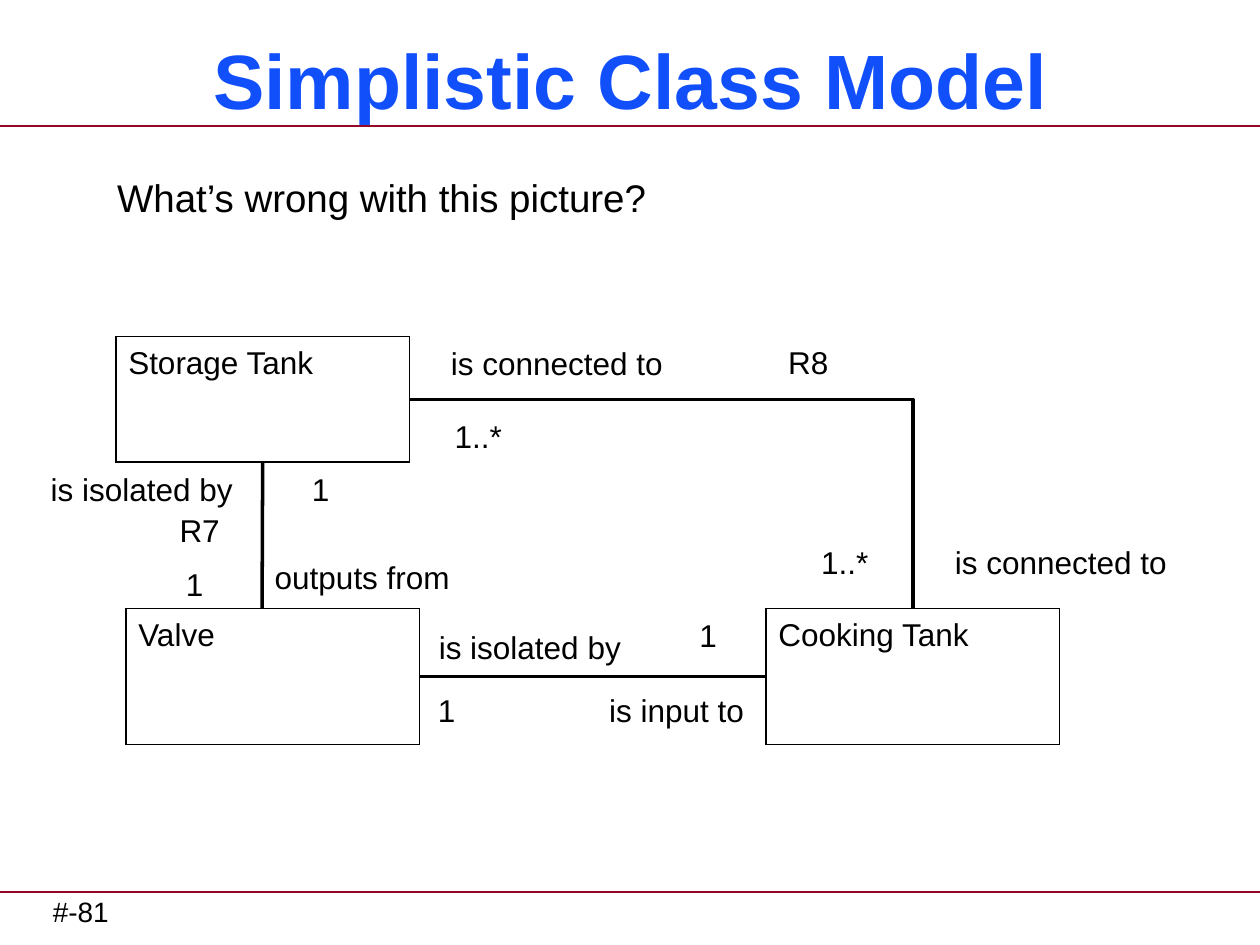
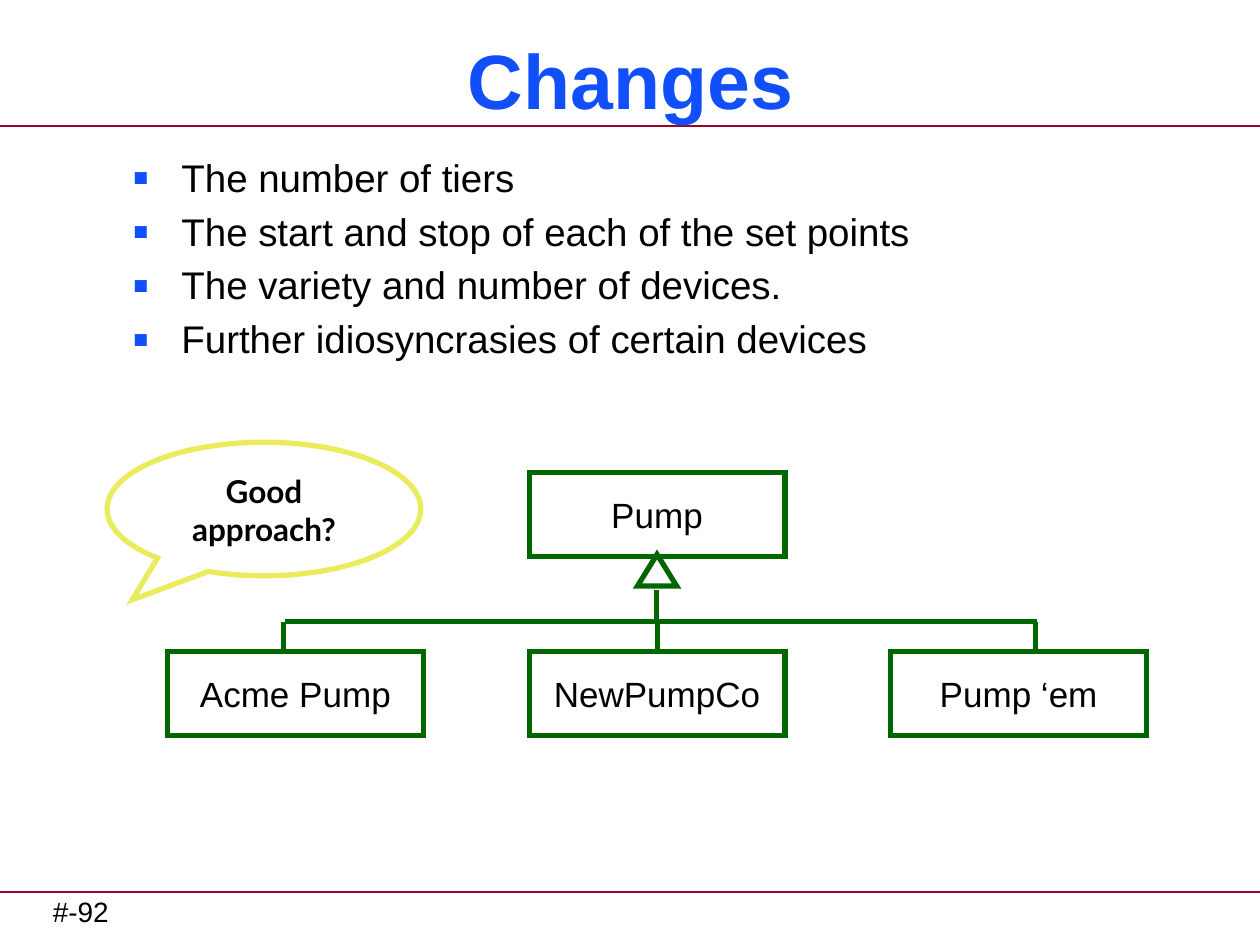
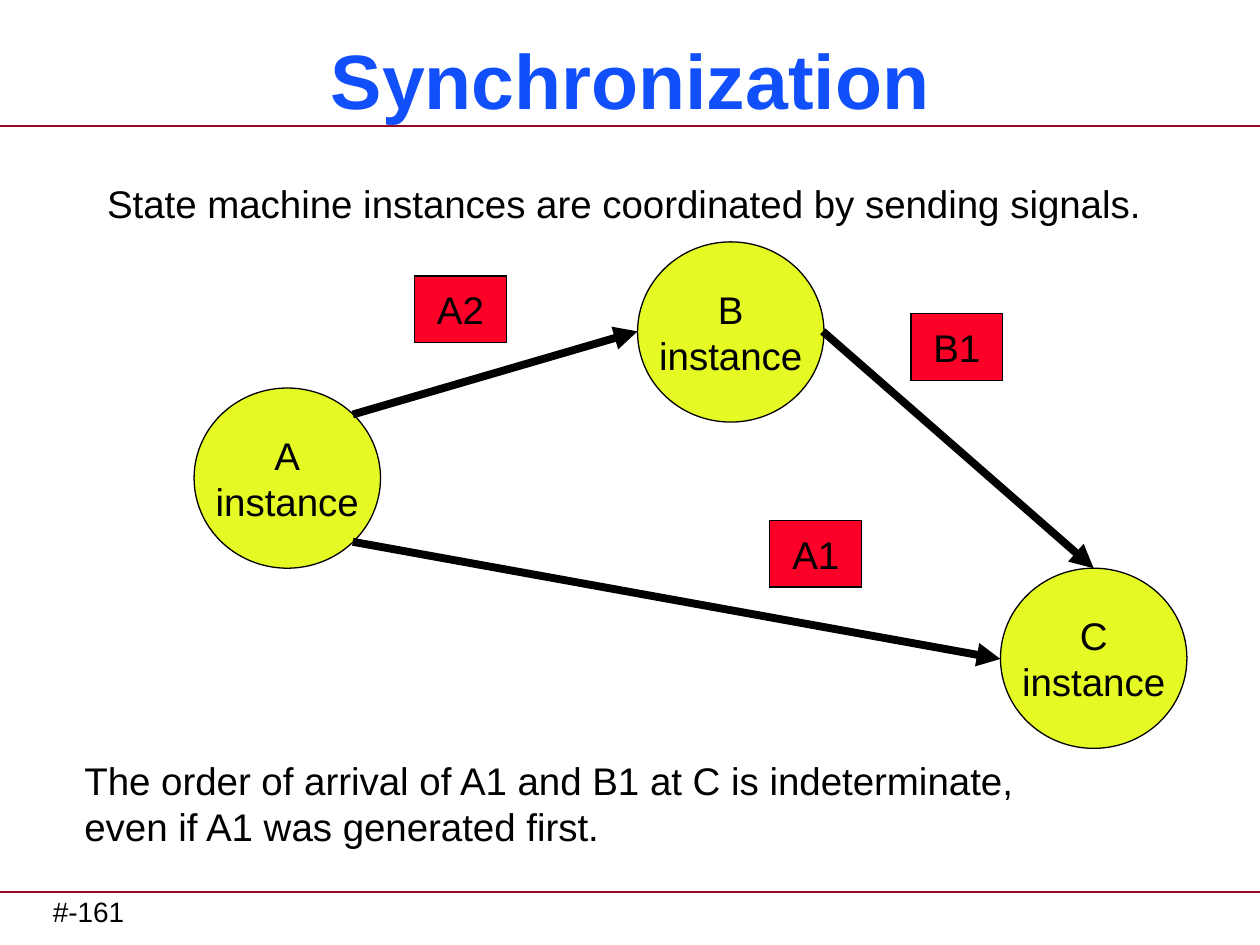
from pptx import Presentation
from pptx.dml.color import RGBColor
from pptx.enum import shapes, text
from pptx.oxml import ns, xmlchemy
from pptx.util import Inches, Pt

BLACK, BLUE, MAROON = "000000", "114FFB", "950728"
GREEN, YELLOW, LIME, RED = "006600", "EAEC5E", "E5F925", "FC0128"
LEFT, CENTER = text.PP_ALIGN.LEFT, text.PP_ALIGN.CENTER
TOP, MIDDLE = text.MSO_ANCHOR.TOP, text.MSO_ANCHOR.MIDDLE
FORM = shapes.MSO_SHAPE
BOTTOM_SIDE, LEFT_SIDE, RIGHT_SIDE, TOP_SIDE = 2, 1, 3, 0
WIDE_MARGINS = (0.17, 0.08)


def rgb(value):
    return RGBColor.from_string(value)


def add_element(parent, tag, **attributes):
    element = xmlchemy.OxmlElement(tag)
    for name, value in attributes.items():
        element.set(name, str(value))
    parent.append(element)
    return element


def set_bullet(paragraph, bullet):
    """Give the paragraph a blue square bullet, or none at all."""
    props = paragraph._p.get_or_add_pPr()
    props.set("marL", str(Inches(0.59 if bullet else 0)))
    props.set("indent", str(Inches(-0.39 if bullet else 0)))
    if not bullet:
        add_element(props, "a:buNone")
        return
    add_element(add_element(props, "a:buClr"), "a:srgbClr", val=BLUE)
    add_element(props, "a:buSzPct", val=125000)
    add_element(props, "a:buFont", typeface="Arial")
    add_element(props, "a:buChar", char="▪")


def write(frame, content, size=18, font="Arial", color=BLACK, bold=False, align=LEFT,
          anchor=TOP, margins=(0.1, 0.05), wrap=True, bullet=None, gap=0, spacing=None):
    """Fill a text frame, one paragraph for each line of content."""
    frame.auto_size = text.MSO_AUTO_SIZE.NONE
    frame.word_wrap = wrap
    frame.vertical_anchor = anchor
    frame.margin_left = frame.margin_right = Inches(margins[0])
    frame.margin_top = frame.margin_bottom = Inches(margins[1])
    for index, words in enumerate(content.split("\n")):
        paragraph = frame.add_paragraph() if index else frame.paragraphs[0]
        if bullet is not None:
            set_bullet(paragraph, bullet)
        paragraph.alignment = align
        paragraph.space_before = Pt(gap if index else 0)
        if spacing:
            paragraph.line_spacing = spacing
        run = paragraph.add_run()
        run.text = words
        run.font.name, run.font.size, run.font.bold = font, Pt(size), bold
        run.font.color.rgb = rgb(color)


class Deck:
    def __init__(self):
        self.presentation = Presentation()
        self.presentation.slide_width = Inches(10)
        self.presentation.slide_height = Inches(7.5)
        self.slide = None

    def start(self, title, number):
        """Add a slide with its title, rules and page number."""
        layout = self.presentation.slide_layouts[1]
        self.slide = self.presentation.slides.add_slide(layout)
        heading = self.slide.shapes.title
        self.place(heading, 0.17, 0.25, 9.67, 0.75)
        write(heading.text_frame, title, size=44, color=BLUE, bold=True,
              align=CENTER, anchor=MIDDLE)
        for y in (1, 7.08):
            rule = self.line((0, y), (10, y), MAROON, 1.5)
            heading.element.addprevious(rule.element)
        self.label(f"#-{number}", 0.42, 7.05, 4.83, 0.37, size=16, margins=(0, 0.05))

    def place(self, shape, left, top, width, height):
        shape.left, shape.top = Inches(left), Inches(top)
        shape.width, shape.height = Inches(width), Inches(height)

    def body(self, content, left, top, width, height, bullet=False, **style):
        holder = self.slide.placeholders[1]
        self.place(holder, left, top, width, height)
        write(holder.text_frame, content, size=22, bullet=bullet, **style)

    def label(self, content, left, top, width, height, **style):
        box = self.slide.shapes.add_textbox(*map(Inches, (left, top, width, height)))
        write(box.text_frame, content, **style)

    def shape(self, form, left, top, width, height, content="", fill=None,
              line=BLACK, weight=1, **style):
        shape = self.slide.shapes.add_shape(form, *map(Inches, (left, top, width, height)))
        shape.shadow.inherit = False
        if fill:
            shape.fill.solid()
            shape.fill.fore_color.rgb = rgb(fill)
        else:
            shape.fill.background()
        shape.line.color.rgb = rgb(line)
        shape.line.width = Pt(weight)
        add_element(shape.element.spPr.find(ns.qn("a:ln")), "a:miter", lim=800000)
        if content:
            write(shape.text_frame, content, **style)
        return shape

    def line(self, start, end, color=BLACK, weight=2, arrow=False, elbow=False):
        kind = shapes.MSO_CONNECTOR.ELBOW if elbow else shapes.MSO_CONNECTOR.STRAIGHT
        line = self.slide.shapes.add_connector(kind, *map(Inches, (*start, *end)))
        line.line.color.rgb = rgb(color)
        line.line.width = Pt(weight)
        props = line.element.spPr
        if elbow:
            props.find(ns.qn("a:prstGeom")).set("prst", "bentConnector2")
        if arrow:
            add_element(props.find(ns.qn("a:ln")), "a:tailEnd", type="triangle")
        add_element(props, "a:effectLst")
        return line


def class_model(deck):
    deck.start("Simplistic Class Model", 81)
    deck.body("What’s wrong with this picture?", 0.83, 1.33, 8.83, 0.83)
    valve = deck.shape(FORM.RECTANGLE, 1, 4.83, 2.33, 1.08, "Valve")
    cooking = deck.shape(FORM.RECTANGLE, 6.08, 4.83, 2.33, 1.08, "Cooking Tank")
    storage = deck.shape(FORM.RECTANGLE, 0.92, 2.67, 2.33, 1, "Storage Tank")

    input_flow = deck.line((3.33, 5.38), (6.08, 5.38))
    input_flow.begin_connect(valve, RIGHT_SIDE)
    input_flow.end_connect(cooking, LEFT_SIDE)
    output_flow = deck.line((2.08, 3.67), (2.08, 4.83))
    output_flow.begin_connect(storage, BOTTOM_SIDE)
    tank_link = deck.line((3.25, 3.17), (7.25, 4.83), elbow=True)
    tank_link.begin_connect(storage, RIGHT_SIDE)
    tank_link.end_connect(cooking, TOP_SIDE)

    for words, left, top, width, height in (
        ("is isolated by", 3.33, 4.92, 1.75, 0.42),
        ("is input to", 4.58, 5.42, 1.58, 0.42),
        ("1", 3.17, 5.42, 0.75, 0.42),
        ("1", 5.33, 4.83, 0.58, 0.42),
        ("R7", 1.17, 4.08, 0.83, 0.25),
        ("R8", 6, 2.75, 0.83, 0.25),
        ("1..*", 3.42, 3.25, 0.75, 0.42),
        ("1..*", 6.33, 4.25, 0.75, 0.42),
        ("is connected to", 7.42, 4.25, 2, 0.42),
        ("is connected to", 3.42, 2.67, 2, 0.42),
        ("1", 1.17, 4.42, 0.75, 0.42),
        ("is isolated by", 0.25, 3.67, 1.75, 0.42),
        ("1", 2.17, 3.67, 0.75, 0.42),
        ("outputs from", 2, 4.33, 1.75, 0.5),
    ):
        deck.label(words, left, top, width, height, align=CENTER, anchor=MIDDLE)


def changes(deck):
    deck.start("Changes", 92)
    deck.body("The number of tiers\n"
              "The start and stop of each of the set points\n"
              "The variety and number of devices.\n"
              "Further idiosyncrasies of certain devices",
              0.75, 1.17, 8.5, 2.42, bullet=True, gap=4.4)

    def pump(name, column, top):
        deck.shape(FORM.RECTANGLE, 1.33 + 2.87 * column, top, 2.03, 0.67, name,
                   line=GREEN, weight=3, size=20, align=CENTER, anchor=MIDDLE,
                   margins=WIDE_MARGINS, wrap=False)

    pump("Pump", 1, 3.75)
    for column, name in enumerate(("Acme Pump", "NewPumpCo", "Pump ‘em")):
        pump(name, column, 5.17)
    deck.line((2.26, 4.93), (8.23, 4.93), GREEN, 3)
    for x in (2.25, 5.22, 8.22):
        deck.line((x, 4.94), (x, 5.17), GREEN, 3)
    deck.line((5.21, 4.68), (5.21, 4.91), GREEN, 3)
    deck.shape(FORM.ISOSCELES_TRIANGLE, 5.06, 4.4, 0.31, 0.25, line=GREEN, weight=3)

    question = deck.shape(FORM.OVAL_CALLOUT, 0.85, 3.51, 2.49, 1.06, "Good approach?",
                          line=YELLOW, weight=3, font="Lato", bold=True,
                          align=CENTER, margins=WIDE_MARGINS)
    question.adjustments[0], question.adjustments[1] = -0.42, 0.68


def synchronization(deck):
    deck.start("Synchronization", 161)
    deck.body("State machine instances are coordinated by sending signals.",
              0.75, 1.42, 8.5, 4.5, spacing=0.9)
    node_style = dict(weight=0.75, size=22, align=CENTER, anchor=MIDDLE,
                      margins=WIDE_MARGINS, wrap=False)
    for name, left, top in (("A", 1.54, 3.08), ("C", 7.94, 4.51), ("B", 5.06, 1.92)):
        deck.shape(FORM.OVAL, left, top, 1.48, 1.43, f"{name}\ninstance",
                   fill=LIME, **node_style)
    for start, end in (((2.8, 3.29), (5.06, 2.63)),
                       ((2.8, 4.3), (7.94, 5.23)),
                       ((6.53, 2.63), (8.68, 4.51))):
        deck.line(start, end, weight=4.5, arrow=True)
    for signal, left, top in (("A2", 3.29, 2.19), ("B1", 7.23, 2.49), ("A1", 6.11, 4.13)):
        deck.shape(FORM.RECTANGLE, left, top, 0.73, 0.53, signal, fill=RED, **node_style)
    deck.label("The order of arrival of A1 and B1 at C is indeterminate,\n"
               "even if A1 was generated first.",
               0.5, 5.93, 7.8, 0.9, size=22, margins=WIDE_MARGINS, wrap=False)


def main():
    deck = Deck()
    for build in (class_model, changes, synchronization):
        build(deck)
    deck.presentation.save("out.pptx")


if __name__ == "__main__":
    main()
